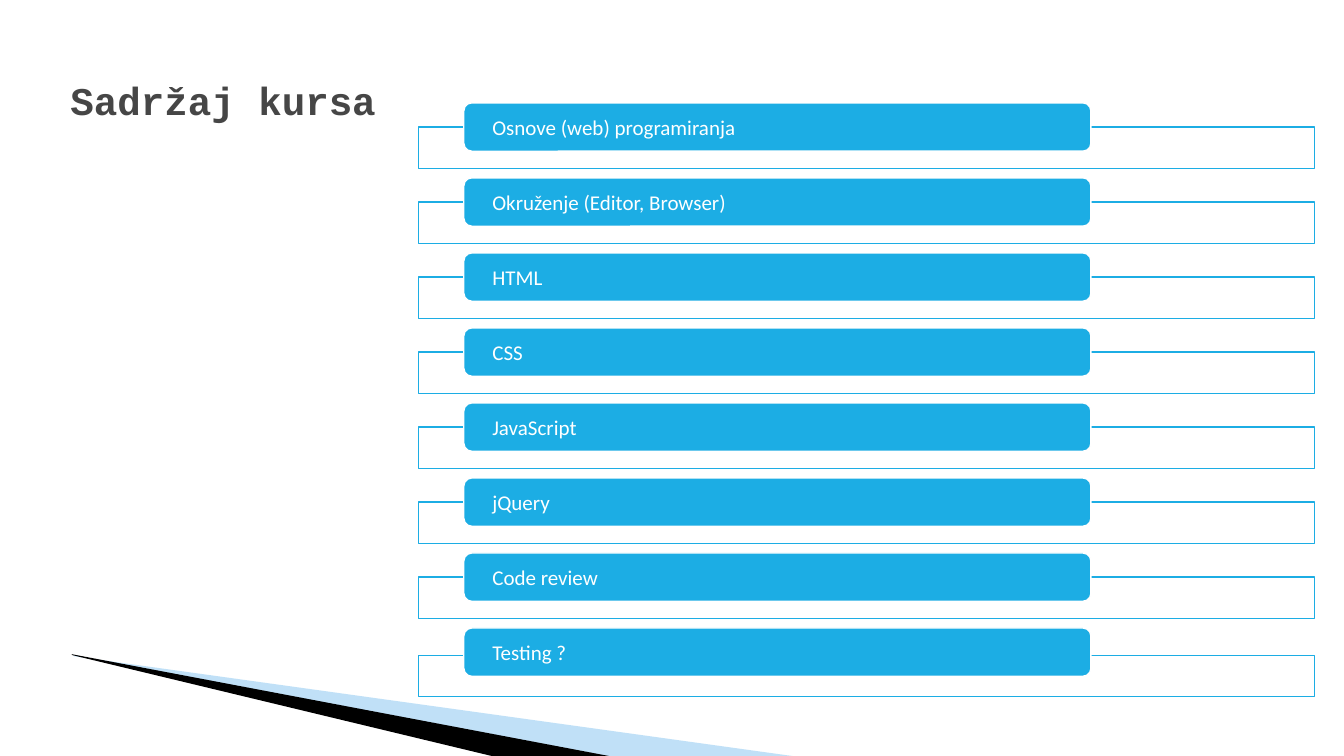
import pptx
import pptx.util
import pptx.dml.color
import pptx.enum.shapes
import pptx.enum.text
import pptx.oxml
import pptx.oxml.ns
from pptx.util import Inches

RGBColor = pptx.dml.color.RGBColor
Shape = pptx.enum.shapes.MSO_SHAPE
Align = pptx.enum.text.PP_ALIGN
Anchor = pptx.enum.text.MSO_ANCHOR

BLUE = RGBColor(0x1C, 0xAD, 0xE4)
PALE_BLUE = RGBColor(0x9D, 0xD0, 0xF4)
BLACK = RGBColor(0x00, 0x00, 0x00)
WHITE = RGBColor(0xFF, 0xFF, 0xFF)
GREY = RGBColor(0x46, 0x46, 0x46)


def paint(shape, color, opacity=100, line_color=None):
    """Fill a shape at an opacity in percent, with a 1 pt line or none."""
    shape.shadow.inherit = False
    shape.fill.solid()
    shape.fill.fore_color.rgb = color
    if opacity < 100:
        color_element = shape.fill._xPr.find(".//" + pptx.oxml.ns.qn("a:srgbClr"))
        color_element.append(pptx.oxml.parse_xml(
            f'<a:alpha {pptx.oxml.ns.nsdecls("a")} val="{opacity * 1000}"/>'))
    if line_color is None:
        shape.line.fill.background()
    else:
        shape.line.color.rgb = line_color
        shape.line.width = pptx.util.Pt(1)


def write(shape, text, margins, font_format):
    """Put one left-aligned, vertically centred line in a shape."""
    frame = shape.text_frame
    frame.word_wrap = True
    frame.vertical_anchor = Anchor.MIDDLE
    for side, margin in margins.items():
        setattr(frame, side, Inches(margin))
    paragraph = frame.paragraphs[0]
    paragraph.alignment = Align.LEFT
    run = paragraph.add_run()
    run.text = text
    run.font.color.rgb = font_format["color"]
    for name in ("name", "size", "bold"):
        setattr(run.font, name, font_format[name])


presentation = pptx.Presentation()
presentation.slide_width = Inches(13.33)
presentation.slide_height = Inches(7.5)
slide = presentation.slides.add_slide(presentation.slide_layouts[6])
shapes = slide.shapes

# Corner wedges
wedges = [
    ([(0.73, 6.51), (7.93, 7.51), (6.08, 7.51), (0.73, 6.5)], PALE_BLUE, 64),
    ([(0.71, 6.49), (6.09, 7.51), (4.96, 7.52), (0.72, 6.5)], BLACK, 100),
]
for corners, color, opacity in wedges:
    start, *others = [(Inches(x), Inches(y)) for x, y in corners]
    builder = shapes.build_freeform(*start)
    builder.add_line_segments(others, close=True)
    paint(builder.convert_to_shape(), color, opacity)

# Title
title = shapes.add_textbox(Inches(0.6), Inches(0.27), Inches(11.41), Inches(1.45))
write(title, "Sadržaj kursa", {}, {
    "name": "Courier New", "size": pptx.util.Pt(28), "bold": True, "color": GREY})

# Course topics: a blue bar over an outlined frame
topics = ["Osnove (web) programiranja", "Okruženje (Editor, Browser)", "HTML", "CSS",
          "JavaScript", "jQuery", "Code review", "Testing ?"]
first_top, last_top = 1.02, 6.23
pitch = (last_top - first_top) / (len(topics) - 1)
bar_margins = {"margin_left": 0.26, "margin_right": 0.26,
               "margin_top": 0, "margin_bottom": 0}
bar_font = {"name": "Calibri", "size": pptx.util.Pt(15), "bold": False, "color": WHITE}

for row, topic in enumerate(topics):
    bar_top = first_top + row * pitch
    frame_drop = 0.27 if topic == topics[-1] else 0.24
    topic_frame = shapes.add_shape(Shape.RECTANGLE, Inches(4.15),
                                   Inches(bar_top + frame_drop), Inches(8.89), Inches(0.41))
    paint(topic_frame, WHITE, 90, BLUE)
    topic_bar = shapes.add_shape(Shape.ROUNDED_RECTANGLE, Inches(4.6),
                                 Inches(bar_top), Inches(6.22), Inches(0.48))
    paint(topic_bar, BLUE, line_color=WHITE)
    write(topic_bar, topic, bar_margins, bar_font)

presentation.save("out.pptx")
